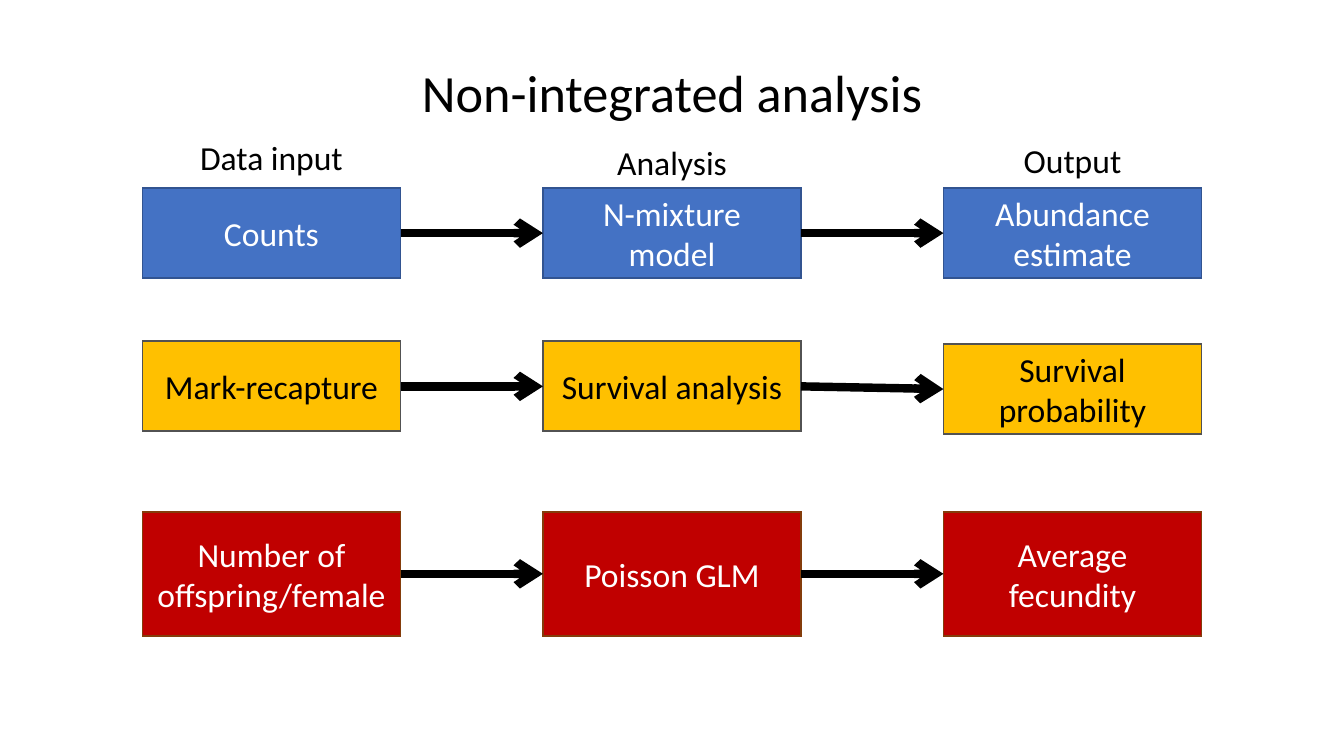
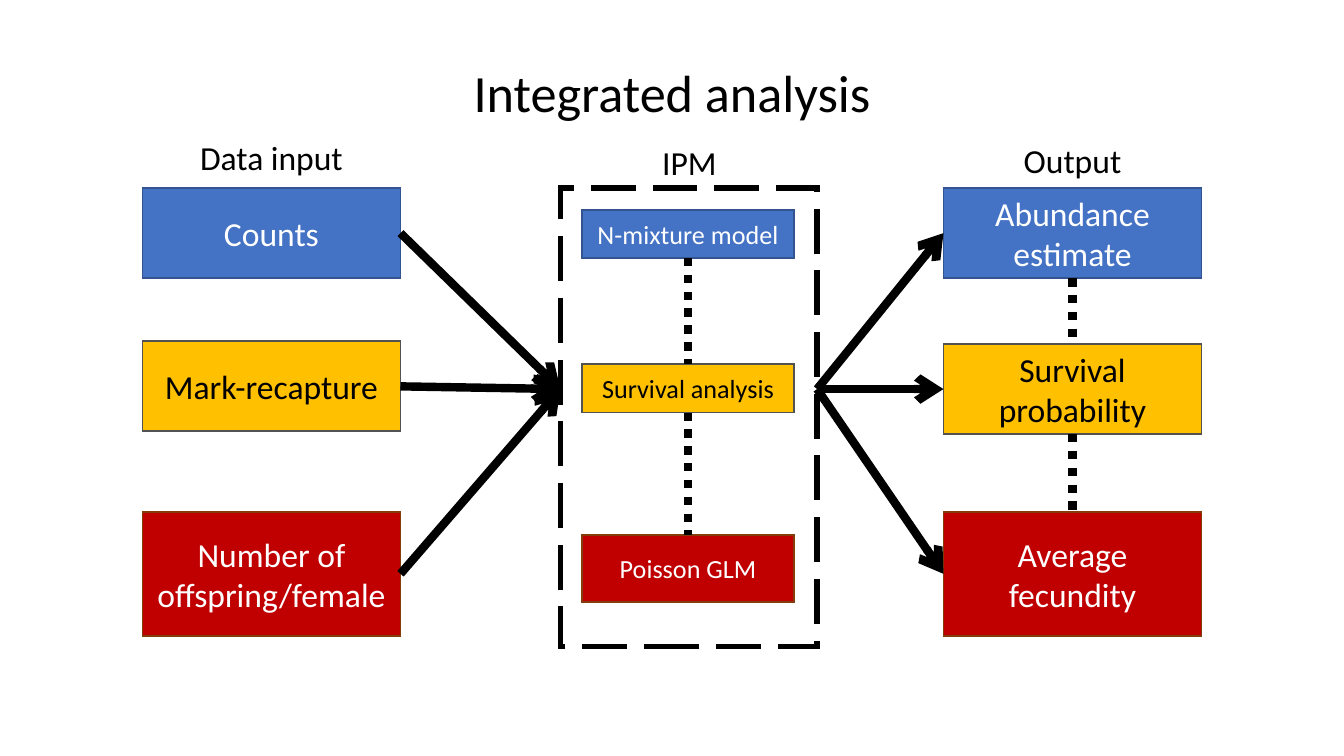
from itertools import pairwise

from lxml.etree import SubElement
from pptx import Presentation
from pptx.dml.color import RGBColor
from pptx.enum.dml import MSO_LINE
from pptx.enum.shapes import MSO_CONNECTOR, MSO_SHAPE
from pptx.enum.text import MSO_ANCHOR, MSO_AUTO_SIZE, PP_ALIGN
from pptx.oxml.ns import qn
from pptx.util import Inches, Pt

BLACK = RGBColor(0x00, 0x00, 0x00)
WHITE = RGBColor(0xFF, 0xFF, 0xFF)
BLUE = RGBColor(0x44, 0x72, 0xC4)
BLUE_EDGE = RGBColor(0x32, 0x54, 0x91)
GOLD = RGBColor(0xFF, 0xC0, 0x00)
GREY_EDGE = RGBColor(0x52, 0x52, 0x52)
RED = RGBColor(0xC0, 0x00, 0x00)
BROWN_EDGE = RGBColor(0x84, 0x3C, 0x0B)

PAGE_WIDTH = Inches(10)
PAGE_FORMAT = {"slide_width": PAGE_WIDTH, "slide_height": PAGE_WIDTH * 9 // 16}
ROW_COLOURS = ((BLUE, BLUE_EDGE, WHITE), (GOLD, GREY_EDGE, BLACK), (RED, BROWN_EDGE, WHITE))
COLUMN_WIDTH = 1.92
INPUT_LEFT, ANALYSIS_LEFT, OUTPUT_LEFT = 1.06, 4.04, 7.02
ROWS = ((1.4, 0.67), (2.54, 0.67), (3.81, 0.92))
OUTPUT_ROWS = ((1.4, 0.67), (2.56, 0.67), (3.81, 0.92))
MODEL_ROWS = ((1.56, 0.36), (2.71, 0.36), (3.98, 0.5))
MODELS = ("N-mixture model", "Survival analysis", "Poisson GLM")
FRAME = (4.17, 1.4, 1.91, 3.41)
FRAME_LINE = {"width": Pt(3), "dash_style": MSO_LINE.LONG_DASH}
BOX_LINE = {"width": Pt(1)}
LABEL_FORMAT = {"word_wrap": True, "auto_size": MSO_AUTO_SIZE.SHAPE_TO_FIT_TEXT}
BOX_FORMAT = {"word_wrap": True, "vertical_anchor": MSO_ANCHOR.MIDDLE}


def apply_format(target, values):
    """Set each attribute of the target from the given values."""
    for name, value in values.items():
        setattr(target, name, value)


def write(shape, text, size, colour, frame_format):
    """Write one centred paragraph in the shape."""
    apply_format(shape.text_frame, frame_format)
    para = shape.text_frame.paragraphs[0]
    para.alignment = PP_ALIGN.CENTER
    span = para.add_run()
    span.text = text
    apply_format(span.font, {"name": "Calibri", "size": Pt(size)})
    span.font.color.rgb = colour


def add_label(page, area, text, size=18):
    """Add a black line of text in the given area."""
    label = page.shapes.add_textbox(*map(Inches, area))
    write(label, text, size, BLACK, LABEL_FORMAT)


def add_rectangle(page, area, edge, line_format):
    """Add an unfilled rectangle with sharp corners in the given area."""
    box = page.shapes.add_shape(MSO_SHAPE.RECTANGLE, *map(Inches, area))
    box.shadow.inherit = False
    box.fill.background()
    box.line.color.rgb = edge
    apply_format(box.line, line_format)
    SubElement(box.line._get_or_add_ln(), qn("a:miter"), lim="800000")
    return box


def add_box(page, area, text, size, colours):
    """Add a filled box with a caption in the given area."""
    fill, edge, ink = colours
    box = add_rectangle(page, area, edge, BOX_LINE)
    box.fill.solid()
    box.fill.fore_color.rgb = fill
    write(box, text, size, ink, BOX_FORMAT)
    return box


def add_stack(page, left, width, rows, captions, size=18):
    """Add a column of boxes, one for each coloured row."""
    return [
        add_box(page, (left, top, width, height), caption, size, colours)
        for (top, height), caption, colours in zip(rows, captions, ROW_COLOURS)
    ]


def add_link(page, start, end, dotted=False):
    """Join two points with a thick arrow or a dotted line."""
    link = page.shapes.add_connector(MSO_CONNECTOR.STRAIGHT, *start, *end)
    link.line.color.rgb = BLACK
    link.line.width = Pt(4.5)
    if dotted:
        link.line.dash_style = MSO_LINE.ROUND_DOT
    else:
        SubElement(link.line._get_or_add_ln(), qn("a:tailEnd"), type="arrow")
    SubElement(link._element.spPr, qn("a:effectLst"))


def edge_point(box, across, down):
    """Return the point at the given fractions of the box."""
    return box.left + int(box.width * across), box.top + int(box.height * down)


def add_ties(page, stack):
    """Tie each box of a column to the next with a dotted line."""
    for upper, lower in pairwise(stack):
        add_link(page, edge_point(upper, 0.5, 1), edge_point(lower, 0.5, 0), dotted=True)


def add_common(deck, title, middle_heading, middle_left):
    """Add a page with its title, headings, inputs and outputs."""
    page = deck.slides.add_slide(deck.slide_layouts[6])
    add_label(page, (2.2, 0.4, 5.6, 0.57), title, 28)
    headings = (
        (INPUT_LEFT, 0.97, "Data input"),
        (middle_left, 1.01, middle_heading),
        (OUTPUT_LEFT, 0.99, "Output"),
    )
    for left, top, text in headings:
        add_label(page, (left, top, COLUMN_WIDTH, 0.4), text)
    inputs = add_stack(page, INPUT_LEFT, COLUMN_WIDTH, ROWS,
                       ("Counts", "Mark-recapture", "Number of offspring/female"))
    outputs = add_stack(page, OUTPUT_LEFT, COLUMN_WIDTH, OUTPUT_ROWS,
                        ("Abundance estimate", "Survival probability", "Average fecundity"))
    return page, inputs, outputs


def build_separate(deck):
    """Build the page where every data set has its own analysis."""
    page, inputs, outputs = add_common(deck, "Non-integrated analysis", "Analysis", ANALYSIS_LEFT)
    models = add_stack(page, ANALYSIS_LEFT, COLUMN_WIDTH, ROWS, MODELS)
    for sources, targets in pairwise((inputs, models, outputs)):
        for source, target in zip(sources, targets):
            add_link(page, edge_point(source, 1, 0.5), edge_point(target, 0, 0.5))


def build_integrated(deck):
    """Build the page where one framed model joins all data sets."""
    page, inputs, outputs = add_common(deck, "Integrated analysis", "IPM", FRAME[0])
    hub = edge_point(outputs[1], 0, 0.5)[1]
    frame = add_rectangle(page, FRAME, BLACK, FRAME_LINE)
    for source, target in zip(inputs, outputs):
        add_link(page, edge_point(source, 1, 0.5), (frame.left, hub))
        add_link(page, (frame.left + frame.width, hub), edge_point(target, 0, 0.5))
    models = add_stack(page, 4.33, 1.58, MODEL_ROWS, MODELS, 14)
    add_ties(page, models)
    add_ties(page, outputs)


def main():
    """Build the deck and save it."""
    deck = Presentation()
    apply_format(deck, PAGE_FORMAT)
    build_separate(deck)
    build_integrated(deck)
    deck.save("out.pptx")


if __name__ == "__main__":
    main()
